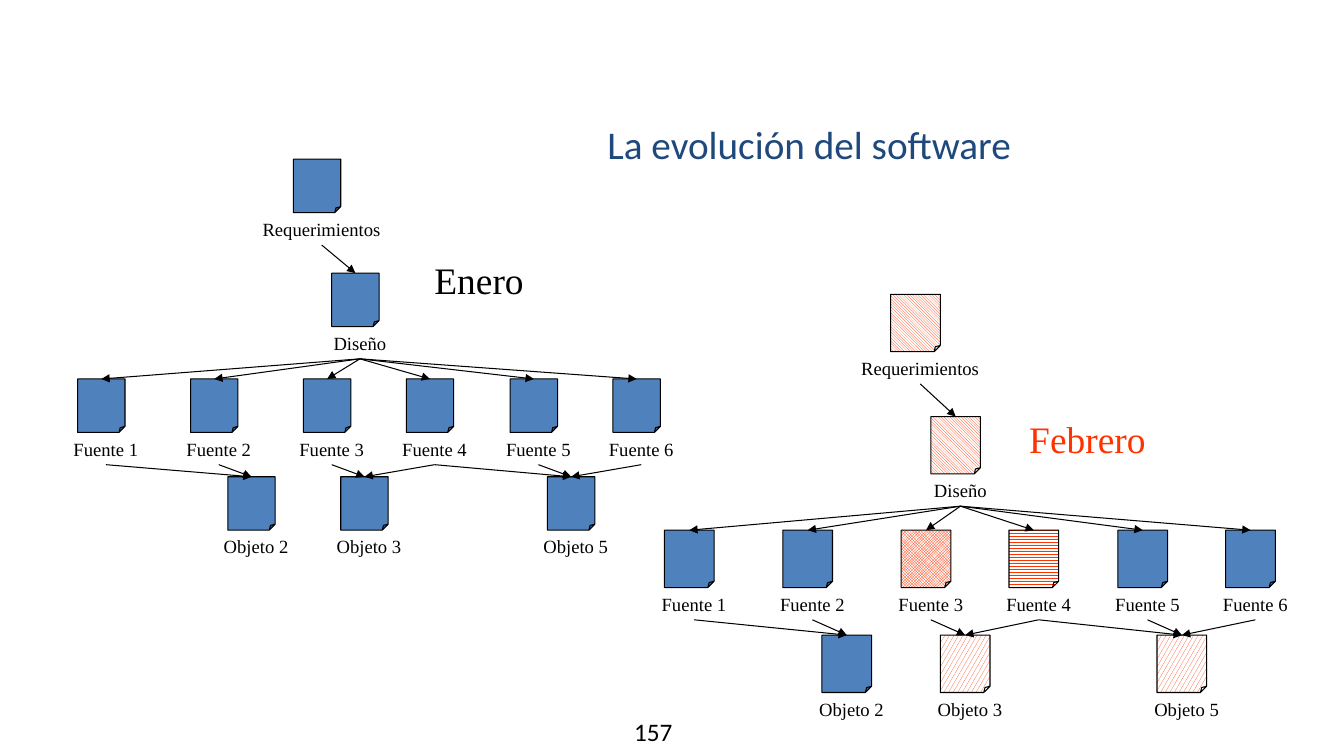
from lxml import etree
from pptx import Presentation
from pptx.dml.color import RGBColor
from pptx.enum.dml import MSO_PATTERN
from pptx.enum.shapes import MSO_CONNECTOR, MSO_SHAPE
from pptx.enum.text import PP_ALIGN
from pptx.oxml.ns import qn
from pptx.util import Inches, Pt

FOLDED = MSO_SHAPE.FOLDED_CORNER
STRAIGHT = MSO_CONNECTOR.STRAIGHT
LEFT, CENTER = PP_ALIGN.LEFT, PP_ALIGN.CENTER
DIAG = MSO_PATTERN.DARK_DOWNWARD_DIAGONAL
CHECK = MSO_PATTERN.SMALL_CHECKER_BOARD
ZIGZAG = MSO_PATTERN.ZIG_ZAG
DOTS = MSO_PATTERN.LARGE_CONFETTI

SERIF, SANS = "Times New Roman", "Calibri"
BLACK, WHITE, BLUE, NAVY, RED = "000000", "FFFFFF", "4F81BD", "1F497D", "FF3300"

# Tree at its base size: page name -> left and top of the page
BASE_W, BASE_H = 5.78, 3.68
PAGE_W, PAGE_H = 0.47, 0.53
LABEL_W, LABEL_H = 1.68, 0.32
SHIFT = 0.56  # a label starts this far left of its page
PAGES = {"Requerimientos": (2.14, 0), "Diseño": (2.52, 1.13)}
SOURCES = [0, 1.12, 2.24, 3.26, 4.29, 5.31]
PAGES.update({f"Fuente {n}": (x, 2.18) for n, x in enumerate(SOURCES, 1)})
PAGES.update({f"Objeto {n}": (x, 3.15) for n, x in [(2, 1.49), (3, 2.61), (5, 4.66)]})

LINKS = [("Requerimientos", "Diseño")]
LINKS += [("Diseño", f"Fuente {n}") for n in range(1, 7)]
LINKS += [(f"Fuente {a}", f"Objeto {b}")
          for a, b in [(1, 2), (2, 2), (3, 3), (4, 3), (4, 5), (5, 5), (6, 5)]]


def color(code):
    return RGBColor.from_string(code)


def add_text(slide, box, text, size, font=SERIF, tint=BLACK, align=LEFT, wrap=False):
    shape = slide.shapes.add_textbox(*map(Inches, box))
    frame = shape.text_frame
    frame.word_wrap = wrap
    para = frame.paragraphs[0]
    para.alignment = align
    run = para.add_run()
    run.text = text
    run.font.size = Pt(size)
    run.font.name = font
    run.font.color.rgb = color(tint)
    return shape


def add_page(slide, box, hatch=None):
    page = slide.shapes.add_shape(FOLDED, *map(Inches, box))
    page.shadow.inherit = False
    # Size of the folded corner
    guides = page._element.spPr.find(qn("a:prstGeom")).find(qn("a:avLst"))
    etree.SubElement(guides, qn("a:gd"), name="adj", fmla="val 12500")
    if hatch is None:
        page.fill.solid()
        page.fill.fore_color.rgb = color(BLUE)
    else:
        page.fill.patterned()
        page.fill.pattern = hatch
        page.fill.fore_color.rgb = color(RED)
        page.fill.back_color.rgb = color(WHITE)
    page.line.color.rgb = color(BLACK)
    page.line.width = Pt(0.75)
    return page


def add_arrow(slide, label, page):
    arrow = slide.shapes.add_connector(STRAIGHT, 0, 0, 0, 0)
    arrow.begin_connect(label, 2)
    arrow.end_connect(page, 0)
    arrow.line.color.rgb = color(BLACK)
    arrow.line.width = Pt(0.75)
    props = arrow._element.spPr
    etree.SubElement(props.find(qn("a:ln")), qn("a:tailEnd"), type="triangle")
    etree.SubElement(props, qn("a:effectLst"))


def add_tree(slide, box, month, spot, tint, marks):
    left, top, width, height = box
    wide = width / BASE_W
    tall = (height - LABEL_H) / BASE_H
    nodes = {}
    # Pages with their labels
    for name, (dx, dy) in PAGES.items():
        x, y = left + dx * wide, top + dy * tall
        w, h = PAGE_W * wide, PAGE_H * tall
        page = add_page(slide, (x, y, w, h), marks.get(name))
        place = (x - SHIFT * wide, y + h, LABEL_W * wide, LABEL_H)
        label = add_text(slide, place, name, 13.3, align=CENTER, wrap=True)
        nodes[name] = page, label
    # Arrows from each label down to the next page
    for start, end in LINKS:
        add_arrow(slide, nodes[start][1], nodes[end][0])
    # Month
    dx, dy, w, h = spot
    add_text(slide, (left + dx, top + dy, w, h), month, 26.7, tint=tint)


def add_frame(slide):
    # Title and slide number
    add_text(slide, (2.36, 1.14, 11.33, 0.58), "La evolución del software", 28,
             SANS, NAVY, CENTER, True)
    add_text(slide, (6.19, 7.06, 0.64, 0.4), "157", 18, SANS)


def main():
    deck = Presentation()
    deck.slide_width, deck.slide_height = Inches(13.33), Inches(7.5)
    slide = deck.slides.add_slide(deck.slide_layouts[6])
    add_frame(slide)
    add_tree(slide, (0.77, 1.58, 5.78, 4), "Enero", (3.44, 0.92, 1.09, 0.55), BLACK, {})
    marks = {"Requerimientos": DIAG, "Diseño": DIAG, "Fuente 3": CHECK,
             "Fuente 4": ZIGZAG, "Objeto 3": DOTS, "Objeto 5": DOTS}
    add_tree(slide, (6.59, 2.92, 6.06, 4.27), "Febrero", (3.52, 1.16, 1.37, 0.55), RED, marks)
    deck.save("out.pptx")


if __name__ == "__main__":
    main()
